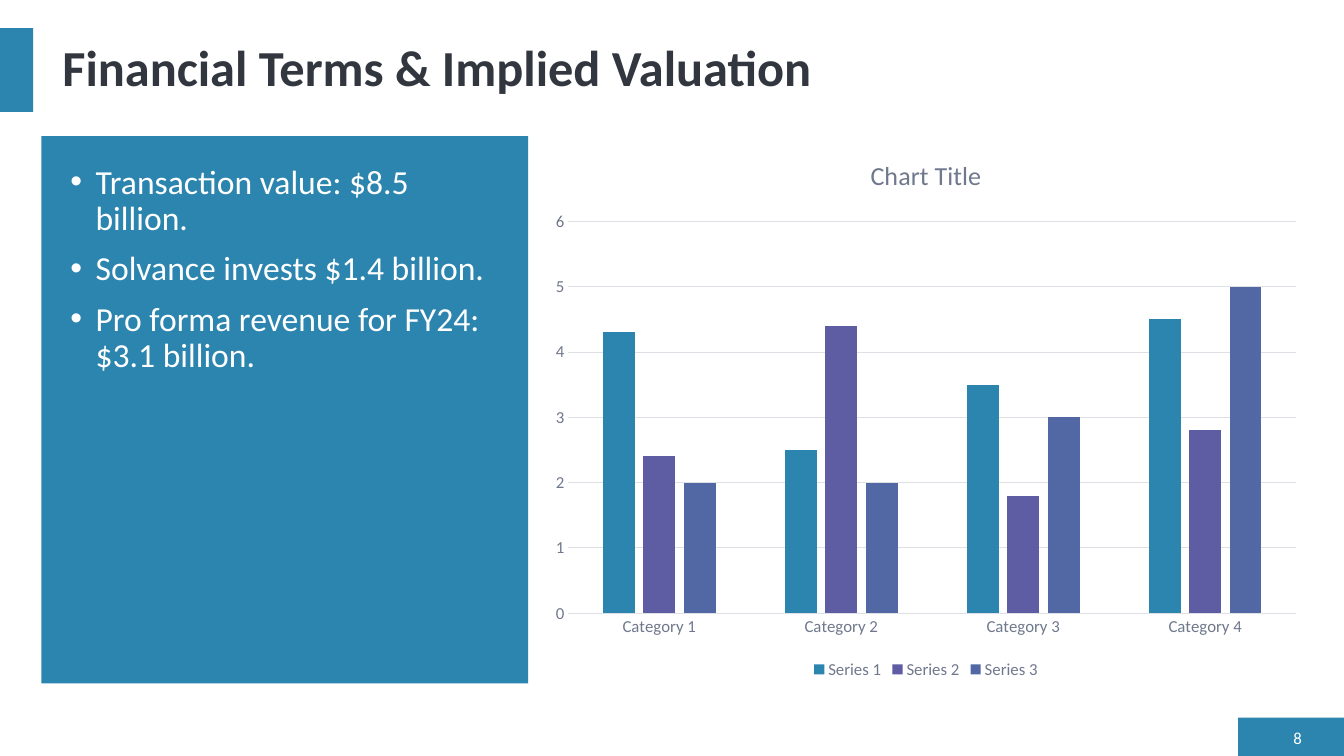
from dataclasses import dataclass

import lxml.etree
import pptx
import pptx.chart.data
import pptx.dml.color
import pptx.enum.chart
import pptx.enum.shapes
import pptx.enum.text
import pptx.oxml.ns
import pptx.util

RGBColor = pptx.dml.color.RGBColor
TEAL = RGBColor(0x2C, 0x85, 0xAE)
PLUM = RGBColor(0x5E, 0x5C, 0xA2)
BLUE = RGBColor(0x52, 0x68, 0xA5)
INK = RGBColor(0x32, 0x36, 0x3F)
GRAY = RGBColor(0x6F, 0x78, 0x8C)
PALE = RGBColor(0xDE, 0xE0, 0xE5)
WHITE = RGBColor(0xFF, 0xFF, 0xFF)

SCALE = 9144  # EMU per px, 100 px to the inch
FACE = "Calibri"


@dataclass
class Box:
    left: int
    top: int
    width: int
    height: int

    def emu(self) -> list[int]:
        return [n * SCALE for n in (self.left, self.top, self.width, self.height)]


@dataclass
class Label:
    box: Box
    lines: list[str]
    size: int
    color: RGBColor
    bold: bool = False
    right: bool = False
    middle: bool = True
    bullet: bool = False
    inset: int = 10
    pitch: float = 1.0


@dataclass
class Series:
    name: str
    values: list[float]
    color: RGBColor


PANELS = [
    Box(1228, 712, 105, 38),  # page number tab
    Box(0, 28, 33, 83),  # title marker
    Box(41, 135, 483, 543),  # terms panel
]
LABELS = [
    Label(Box(41, 28, 1260, 83), ["Financial Terms & Implied Valuation"],
          36, INK, bold=True, inset=21, pitch=0.9),
    Label(Box(1260, 720, 41, 23), ["8"], 12, WHITE, right=True),
    Label(Box(60, 159, 445, 498),
          ["Transaction value: $8.5 billion.",
           "Solvance invests $1.4 billion.",
           "Pro forma revenue for FY24: $3.1 billion."],
          24, WHITE, middle=False, bullet=True, pitch=0.9),
]
CHART = Box(536, 135, 765, 543)
GROUPS = [f"Category {n}" for n in range(1, 5)]
SERIES = [
    Series("Series 1", [4.3, 2.5, 3.5, 4.5], TEAL),
    Series("Series 2", [2.4, 4.4, 1.8, 2.8], PLUM),
    Series("Series 3", [2, 2, 3, 5], BLUE),
]


def set_font(font, size: float, color: RGBColor, bold: bool = False) -> None:
    font.name = FACE
    font.size = pptx.util.Pt(size)
    font.bold = bold
    font.color.rgb = color


def set_line(line) -> None:
    line.color.rgb = PALE
    line.width = pptx.util.Pt(0.75)


def add_panel(slide, box: Box) -> None:
    shape = slide.shapes.add_shape(pptx.enum.shapes.MSO_SHAPE.RECTANGLE, *box.emu())
    shape.shadow.inherit = False
    shape.fill.solid()
    shape.fill.fore_color.rgb = TEAL
    shape.line.fill.background()


def add_bullet(para) -> None:
    para.space_before = pptx.util.Pt(10)
    props = para._p.get_or_add_pPr()
    props.set("marL", str(25 * SCALE))
    props.set("indent", str(-25 * SCALE))
    font = lxml.etree.SubElement(props, pptx.oxml.ns.qn("a:buFont"))
    font.set("typeface", "Arial")
    mark = lxml.etree.SubElement(props, pptx.oxml.ns.qn("a:buChar"))
    mark.set("char", "•")


def add_label(slide, label: Label) -> None:
    frame = slide.shapes.add_textbox(*label.box.emu()).text_frame
    frame.word_wrap = True
    frame.margin_left = label.inset * SCALE
    anchor = pptx.enum.text.MSO_ANCHOR
    frame.vertical_anchor = anchor.MIDDLE if label.middle else anchor.TOP
    frame.text = "\n".join(label.lines)
    align = pptx.enum.text.PP_ALIGN
    for para in frame.paragraphs:
        para.alignment = align.RIGHT if label.right else align.LEFT
        para.line_spacing = label.pitch
        if label.bullet:
            add_bullet(para)
        set_font(para.font, label.size, label.color, label.bold)


def add_graph(slide, box: Box) -> None:
    data = pptx.chart.data.CategoryChartData()
    data.categories = GROUPS
    for item in SERIES:
        data.add_series(item.name, item.values)
    kind = pptx.enum.chart.XL_CHART_TYPE.COLUMN_CLUSTERED
    chart = slide.shapes.add_chart(kind, *box.emu(), data).chart
    set_font(chart.font, 10, INK)

    # Title and legend
    chart.has_title = True
    chart.chart_title.include_in_layout = False
    frame = chart.chart_title.text_frame
    frame.text = "Chart Title"
    set_font(frame.paragraphs[0].font, 18.6, GRAY)
    chart.has_legend = True
    chart.legend.position = pptx.enum.chart.XL_LEGEND_POSITION.BOTTOM
    chart.legend.include_in_layout = False
    set_font(chart.legend.font, 12, GRAY)

    # Axes and grid
    for axis in (chart.category_axis, chart.value_axis):
        axis.major_tick_mark = pptx.enum.chart.XL_TICK_MARK.NONE
        axis.minor_tick_mark = pptx.enum.chart.XL_TICK_MARK.NONE
        set_font(axis.tick_labels.font, 12, GRAY)
    set_line(chart.category_axis.format.line)
    scale = chart.value_axis
    scale.minimum_scale, scale.maximum_scale, scale.major_unit = 0, 6, 1
    scale.format.line.fill.background()
    set_line(scale.major_gridlines.format.line)

    # Columns
    plot = chart.plots[0]
    plot.vary_by_categories = False
    plot.gap_width = 219
    plot.overlap = -27
    for column, item in zip(plot.series, SERIES):
        column.format.fill.solid()
        column.format.fill.fore_color.rgb = item.color


def main() -> None:
    deck = pptx.Presentation()
    deck.slide_width = 1333 * SCALE
    deck.slide_height = 750 * SCALE
    slide = deck.slides.add_slide(deck.slide_layouts[6])
    for box in PANELS:
        add_panel(slide, box)
    for label in LABELS:
        add_label(slide, label)
    add_graph(slide, CHART)
    deck.save("out.pptx")


if __name__ == "__main__":
    main()
